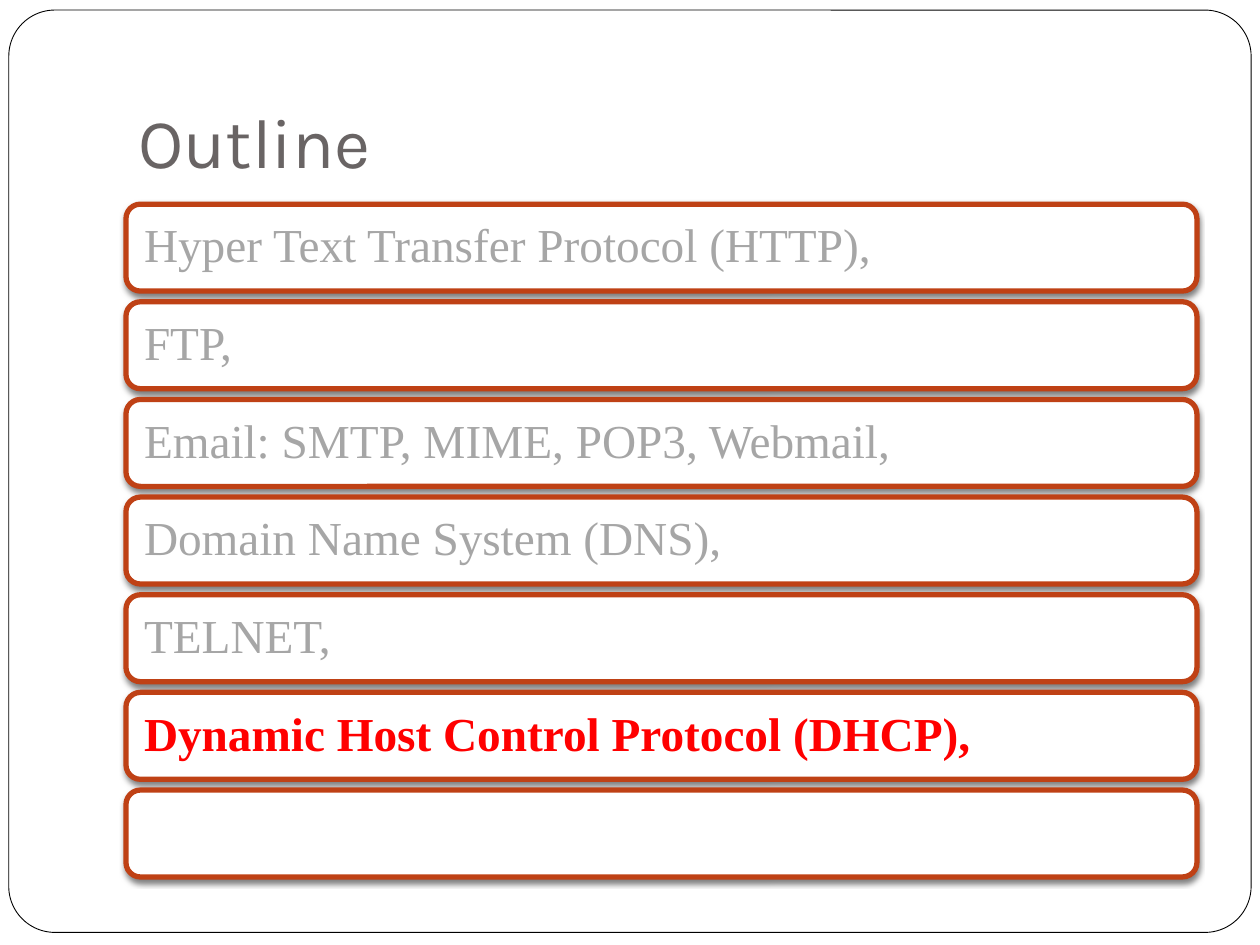
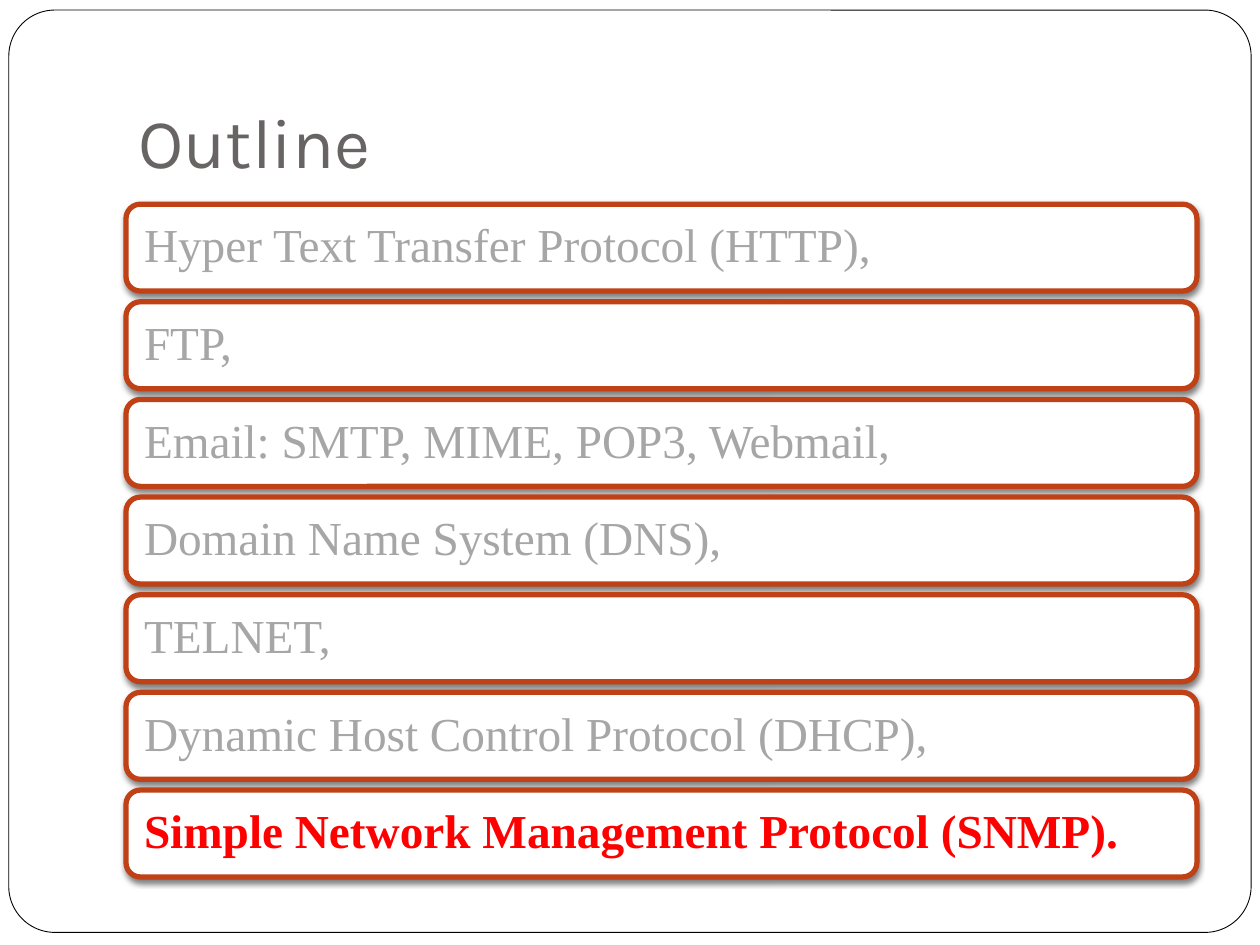
from lxml import etree
from pptx import Presentation
from pptx.dml.color import RGBColor
from pptx.enum.shapes import MSO_SHAPE as SHAPE
from pptx.enum.text import MSO_ANCHOR as ANCHOR, PP_ALIGN as ALIGN
from pptx.oxml import parse_xml
from pptx.oxml.ns import nsdecls, qn
from pptx.util import Inches, Pt

TITLE = "Outline"
TOPICS = [
    "Hyper Text Transfer Protocol (HTTP),",
    "FTP,",
    "Email: SMTP, MIME, POP3, Webmail,",
    "Domain Name System (DNS),",
    "TELNET,",
    "Dynamic Host Control Protocol (DHCP),",
    "Simple Network Management Protocol (SNMP).",
]
# Each slide highlights one topic; later topics are still hidden.
CURRENT_TOPICS = [5, 6]

WHITE = RGBColor(0xFF, 0xFF, 0xFF)
BLACK = RGBColor(0x00, 0x00, 0x00)
TITLE_GREY = RGBColor(0x69, 0x64, 0x64)
TOPIC_GREY = RGBColor(0xA6, 0xA6, 0xA6)
RUST = RGBColor(0xBF, 0x41, 0x15)
RED = RGBColor(0xFF, 0x00, 0x00)

TITLE_FONT = "Karla"
TOPIC_FONT = "Times New Roman"

LEFT, WIDTH = 1, 8.5
FIRST_TOP, LAST_TOP, BAR_HEIGHT = 1.62, 6.27, 0.69
PITCH = (LAST_TOP - FIRST_TOP) / (len(TOPICS) - 1)


def write_text(shape, text, *, font, size, color, bold=False,
               anchor=ANCHOR.MIDDLE, insets=(0.11, 0.11, 0.11, 0.11), line_spacing=1.0):
    """Insets are left, top, right, bottom in inches."""
    frame = shape.text_frame
    frame.word_wrap = True
    frame.vertical_anchor = anchor
    (frame.margin_left, frame.margin_top,
     frame.margin_right, frame.margin_bottom) = map(Inches, insets)
    paragraph = frame.paragraphs[0]
    paragraph.alignment = ALIGN.LEFT
    paragraph.line_spacing = line_spacing
    run = paragraph.add_run()
    run.text = text
    run.font.name = font
    run.font.size = Pt(size)
    run.font.bold = bold
    run.font.color.rgb = color


def add_round_box(slide, left, top, width, height, line_color, line_width):
    box = slide.shapes.add_shape(SHAPE.ROUNDED_RECTANGLE, *map(Inches, (left, top, width, height)))
    box.shadow.inherit = False
    box.fill.solid()
    box.fill.fore_color.rgb = WHITE
    box.line.color.rgb = line_color
    box.line.width = Pt(line_width)
    return box


def add_drop_shadow(shape):
    effects = shape.element.spPr.find(qn("a:effectLst"))
    effects.append(parse_xml(
        f'<a:outerShdw {nsdecls("a")} blurRad="{Pt(3)}" dist="{Pt(2)}" dir="5400000" '
        f'rotWithShape="0"><a:srgbClr val="{BLACK}"><a:alpha val="50000"/></a:srgbClr>'
        '</a:outerShdw>'))


def add_outline_slide(presentation, current):
    slide = presentation.slides.add_slide(presentation.slide_layouts[6])
    frame = add_round_box(slide, 0.07, 0.08, 9.86, 7.32, BLACK, 0.5)
    frame.adjustments[0] = 0.05

    title = slide.shapes.add_textbox(Inches(LEFT), Inches(0.3), Inches(WIDTH), Inches(1.25))
    write_text(title, TITLE, font=TITLE_FONT, size=40, color=TITLE_GREY,
               anchor=ANCHOR.BOTTOM, insets=(0.1, 0.05, 0.1, 0.1))

    for index, topic in enumerate(TOPICS):
        bar = add_round_box(slide, LEFT, FIRST_TOP + index * PITCH, WIDTH, BAR_HEIGHT, RUST, 3)
        add_drop_shadow(bar)
        if index <= current:
            is_current = index == current
            write_text(bar, topic, font=TOPIC_FONT, size=27, bold=is_current,
                       color=RED if is_current else TOPIC_GREY, line_spacing=0.9)


def main():
    presentation = Presentation()
    presentation.slide_width = Inches(10)
    presentation.slide_height = Inches(7.5)
    for current in CURRENT_TOPICS:
        add_outline_slide(presentation, current)
    presentation.save("out.pptx")


if __name__ == "__main__":
    main()
